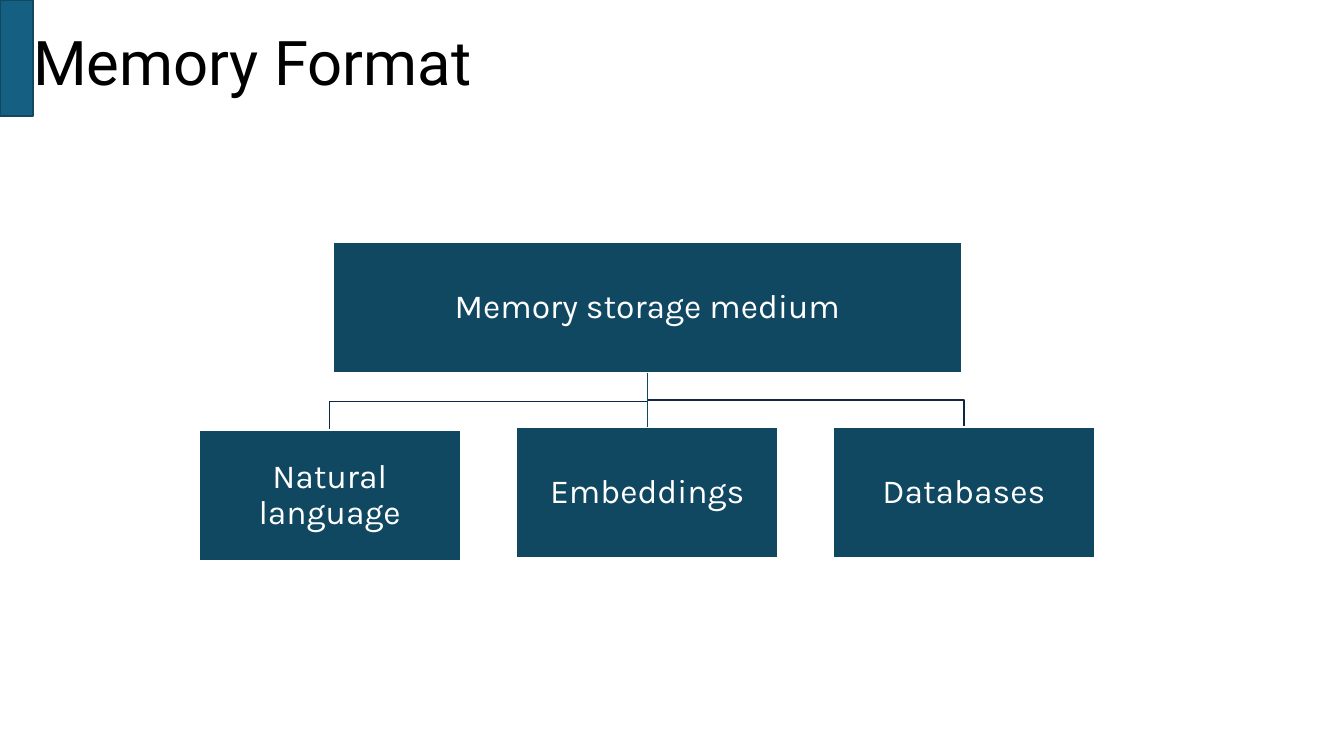
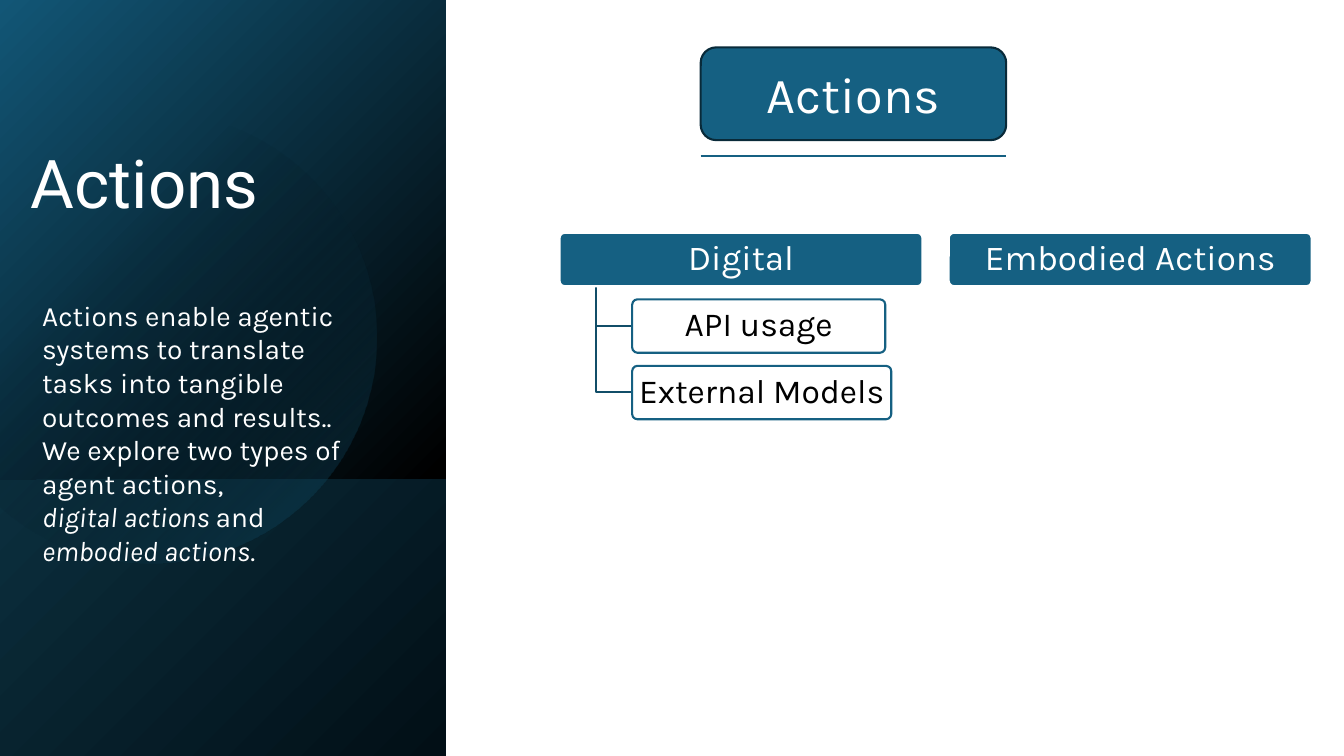
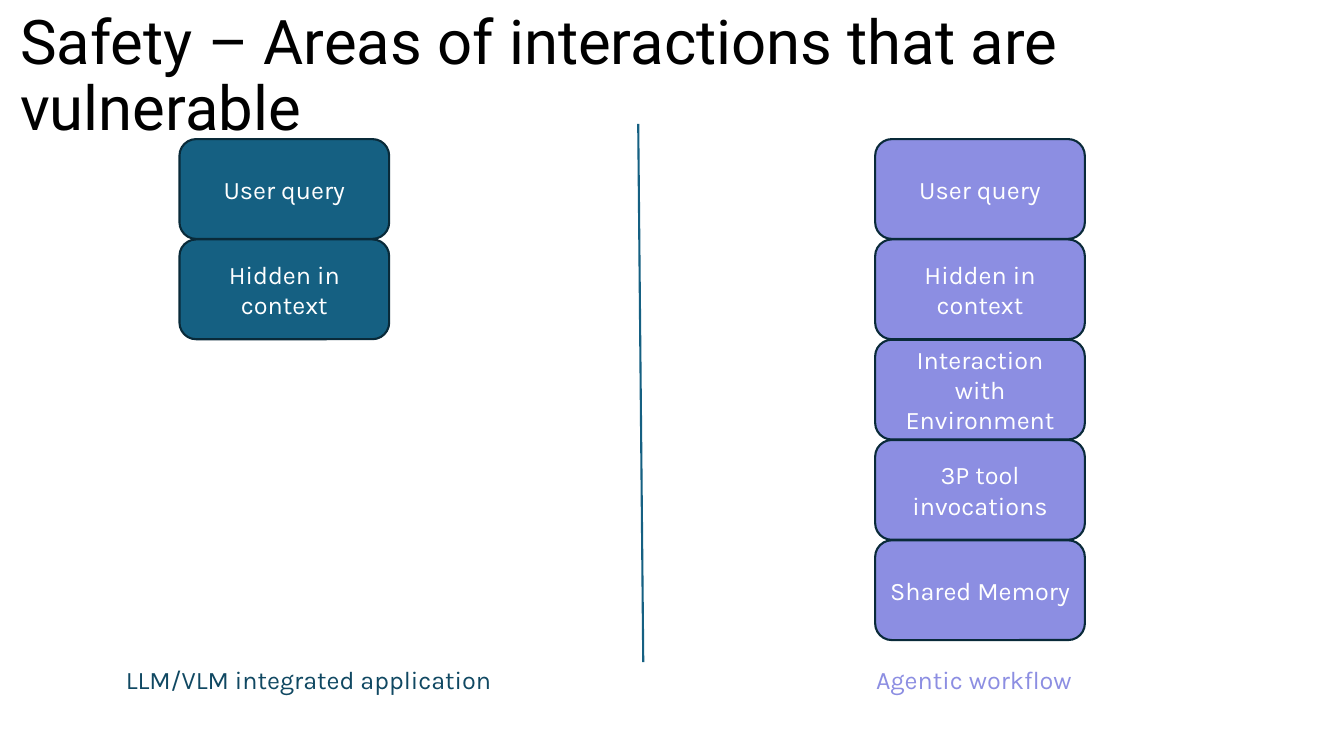
from math import acos, cos, sin

from lxml.etree import SubElement
from pptx import Presentation
from pptx.dml.color import RGBColor
from pptx.enum.shapes import MSO_CONNECTOR as LINE, MSO_SHAPE as SHAPE
from pptx.enum.text import MSO_ANCHOR as ANCHOR, MSO_AUTO_SIZE as AUTO, PP_ALIGN as ALIGN
from pptx.oxml.ns import qn
from pptx.util import Inches, Pt

HEAD, BODY = "Roboto", "Karla"
WHITE, BLACK = "FFFFFF", "000000"
TEAL, DEEP, EDGE = "156082", "104862", "092A39"
NAVY, BRANCH, VIOLET = "0E2841", "114D68", "8C8EE2"
rgb = RGBColor.from_string


def style(sp, fill=None, line=None, width=1.5):
    """Set fill and line, and switch the shadow off; None means no paint."""
    if hasattr(sp, "fill"):
        if fill:
            sp.fill.solid()
            sp.fill.fore_color.rgb = rgb(fill)
        else:
            sp.fill.background()
    if line:
        sp.line.color.rgb = rgb(line)
        sp.line.width = Pt(width)
    else:
        sp.line.fill.background()
    SubElement(sp._element.spPr, qn("a:effectLst"))


def write(sp, paragraphs, size, color=WHITE, font=BODY, align=ALIGN.CENTER,
          anchor=ANCHOR.MIDDLE, spacing=None, inset=0.1):
    """Fill a shape with paragraphs, each a list of (text, italic) runs."""
    tf = sp.text_frame
    tf.word_wrap = True
    tf.auto_size = AUTO.NONE
    tf.vertical_anchor = anchor
    tf.margin_left = tf.margin_right = Inches(inset)
    tf.margin_top = tf.margin_bottom = Inches(inset / 2)
    for i, runs in enumerate(paragraphs):
        p = tf.add_paragraph() if i else tf.paragraphs[0]
        p.alignment = align
        p.line_spacing = spacing
        for j, (text, italic) in enumerate(runs):
            for k, part in enumerate(text.split("\n")):
                if k:
                    p.add_line_break()
                r = p.add_run()
                r.text = part
                r.font.name = font
                r.font.size = Pt(size)
                r.font.italic = italic
                r.font.color.rgb = rgb(color)


prs = Presentation()
prs.slide_width, prs.slide_height = Inches(13.33), Inches(7.5)

# Slides and titles
titles = [
    ("Memory Format", 0, -0.03, 5.01, 1.06, 44, BLACK, ALIGN.CENTER),
    ("Actions", 0, 1.22, 2.87, 1.04, 48, WHITE, ALIGN.CENTER),
    ("Safety – Areas of interactions that are\nvulnerable",
     0.1, 0.66, 13.2, 0.82, 44, BLACK, ALIGN.LEFT),
]
for text, x, y, w, h, size, color, align in titles:
    s = prs.slides.add_slide(prs.slide_layouts[5])
    title = s.shapes.title
    title.left, title.top, title.width, title.height = map(Inches, (x, y, w, h))
    write(title, [[(text, False)]], size, color, HEAD, align, ANCHOR.BOTTOM, 0.9)
memory, actions, safety = prs.slides

# Slide 1: storage medium tree
s = memory
root_x, root_bottom = 6.42, 3.7
for child_x, child_top in [(9.56, 4.24), (3.27, 4.27)]:
    middle = (root_bottom + child_top) / 2
    fb = s.shapes.build_freeform(Inches(root_x), Inches(root_bottom), 1)
    fb.add_line_segments([(Inches(x), Inches(y)) for x, y in
                          [(root_x, middle), (child_x, middle), (child_x, child_top)]],
                         close=False)
    style(fb.convert_to_shape(), line=NAVY, width=1)

boxes = {}
for text, x, y, w in [("Memory storage medium", 3.3, 2.4, 6.24),
                      ("Natural language", 1.97, 4.27, 2.6),
                      ("Embeddings", 5.12, 4.24, 2.6),
                      ("Databases", 8.26, 4.24, 2.6)]:
    sp = s.shapes.add_shape(SHAPE.RECTANGLE, Inches(x), Inches(y), Inches(w), Inches(1.3))
    style(sp, DEEP, WHITE)
    write(sp, [[(text, False)]], 24, spacing=0.9, inset=0.02)
    boxes[text] = sp

stem = s.shapes.add_connector(LINE.STRAIGHT, 0, 0, 0, 0)
stem.begin_connect(boxes["Memory storage medium"], 2)
stem.end_connect(boxes["Embeddings"], 0)
style(stem, line=DEEP, width=1)

bar = s.shapes.add_shape(SHAPE.RECTANGLE, 0, 0, Inches(0.33), Inches(1.15))
style(bar, TEAL, DEEP)

# Slide 2: gradient panel on the left
s = actions
panel = s.shapes.add_shape(SHAPE.RECTANGLE, 0, 0, Inches(4.42), Inches(7.5))
strip = s.shapes.add_shape(SHAPE.RECTANGLE, 0, Inches(4.76), Inches(4.42), Inches(2.74))
cx, cy, radius = 1.49, 3.35, 2.24
reach = acos(-cx / radius)
arc = [(Inches(cx + radius * cos(a)), Inches(cy + radius * sin(a)))
       for a in (reach * (i / 60 - 1) for i in range(121))]
fb = s.shapes.build_freeform(*arc[0], 1)
fb.add_line_segments(arc[1:], close=True)
disc = fb.convert_to_shape()

# Each layer: two stops of (position, colour, opacity in percent)
for sp, stops in [(panel, [(0, "125676", 100), (0.76, BLACK, 100)]),
                  (strip, [(0, "0B2F3E", 100), (1, "020F16", 100)]),
                  (disc, [(0.29, BLACK, 0), (1, TEAL, 43)])]:
    style(sp)
    sp.fill.gradient()
    sp.fill.gradient_angle = 315
    for stop, (position, color, opacity) in zip(sp.fill.gradient_stops, stops):
        stop.position = position
        stop.color.rgb = rgb(color)
    for clr, (_, _, opacity) in zip(sp._element.spPr.iter(qn("a:srgbClr")), stops):
        SubElement(clr, qn("a:alpha"), val=str(opacity * 1000))

title = s.shapes.title._element
title.getparent().append(title)  # bring the title in front of the panel

sp = s.shapes.add_textbox(Inches(0.32), Inches(2.91), Inches(3.51), Inches(2.46))
write(sp, [[("Actions enable agentic systems to translate tasks into tangible outcomes "
             "and results.. We explore two types of agent actions,", False)],
           [("digital actions ", True), ("and ", False),
            ("embodied actions", True), (".", False)]],
      20, align=ALIGN.LEFT, anchor=ANCHOR.TOP)

# Slide 2: action hierarchy
trunk_x, trunk_top, leaf_x, row_h = 5.91, 2.84, 6.27, 0.53
for leaf_y in (3.23, 3.89):
    fb = s.shapes.build_freeform(Inches(trunk_x), Inches(trunk_top), 1)
    fb.add_line_segments([(Inches(trunk_x), Inches(leaf_y)),
                          (Inches(leaf_x), Inches(leaf_y))], close=False)
    style(fb.convert_to_shape(), line=BRANCH)

for text, x, y, w, size, fill, line, color in [
        ("Digital", 5.55, 2.31, 3.6, 25, TEAL, WHITE, WHITE),
        ("Embodied Actions", 9.41, 2.31, 3.6, 25, TEAL, WHITE, WHITE),
        ("API usage", leaf_x, 2.97, 2.51, 24, WHITE, TEAL, BLACK),
        ("External Models", leaf_x, 3.63, 2.57, 24, WHITE, TEAL, BLACK)]:
    sp = s.shapes.add_shape(SHAPE.ROUNDED_RECTANGLE, Inches(x), Inches(y),
                            Inches(w), Inches(row_h))
    sp.adjustments[0] = 0.1
    style(sp, fill, line)
    write(sp, [[(text, False)]], size, color, spacing=0.9, inset=0.05)

sp = s.shapes.add_shape(SHAPE.ROUNDED_RECTANGLE, Inches(6.95), Inches(0.47),
                        Inches(3.03), Inches(0.92))
style(sp, TEAL, EDGE)
write(sp, [[("Actions", False)]], 36)
underline = s.shapes.add_connector(LINE.STRAIGHT, Inches(6.95), Inches(1.55),
                                   Inches(9.98), Inches(1.55))
style(underline, line=TEAL)

# Slide 3: two stacks of vulnerable areas
s = safety
areas = ["User query", "Hidden in context", "Interaction with Environment",
         "3P tool invocations", "Shared Memory"]
for x, fill, stack in [(1.78, TEAL, areas[:2]), (8.68, VIOLET, areas)]:
    for i, text in enumerate(stack):
        sp = s.shapes.add_shape(SHAPE.ROUNDED_RECTANGLE, Inches(x), Inches(1.38 + i * 0.995),
                                Inches(2.08), Inches(0.99))
        style(sp, fill, EDGE)
        write(sp, [[(text, False)]], 18)

divider = s.shapes.add_connector(LINE.STRAIGHT, Inches(6.33), Inches(1.23),
                                 Inches(6.38), Inches(6.57))
style(divider, line=TEAL)

for text, x, w, color in [("LLM/VLM integrated application", 1.15, 4.22, DEEP),
                          ("Agentic workflow", 8.59, 3.21, VIOLET)]:
    sp = s.shapes.add_textbox(Inches(x), Inches(6.54), Inches(w), Inches(0.4))
    write(sp, [[(text, False)]], 18, color, align=ALIGN.LEFT, anchor=ANCHOR.TOP)

prs.save("out.pptx")
